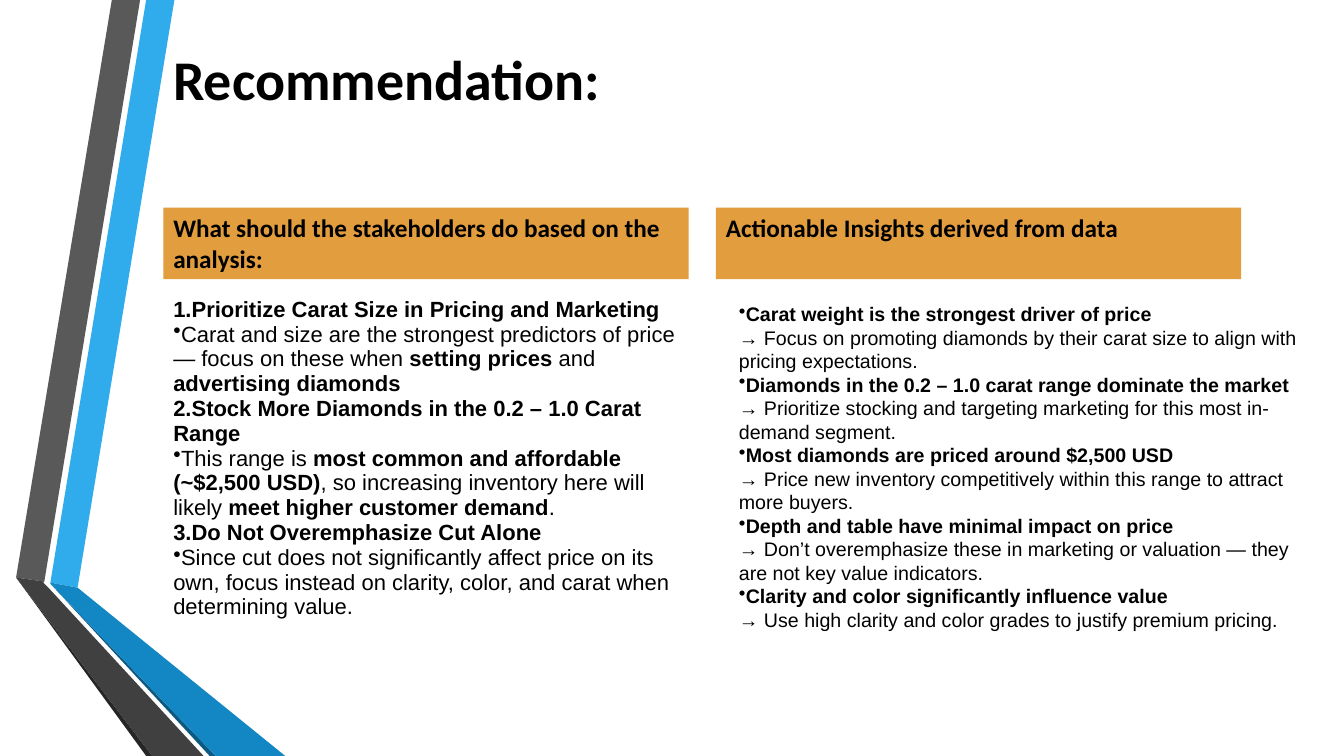
from lxml import etree
from pptx import Presentation
from pptx.dml.color import RGBColor
from pptx.enum.shapes import MSO_SHAPE
from pptx.enum.text import MSO_ANCHOR, PP_ALIGN
from pptx.oxml.ns import qn
from pptx.util import Inches, Pt

RECTANGLE = MSO_SHAPE.RECTANGLE
TOP, MIDDLE = MSO_ANCHOR.TOP, MSO_ANCHOR.MIDDLE
LEFT = PP_ALIGN.LEFT

COLORS = {
    "black": "000000", "orange": "E29D3E",
    "sky": "30ACEC", "blue": "1287C3", "navy": "0C5A82",
    "gray": "595959", "charcoal": "404040", "soot": "262626",
}

RIBBONS = [
    ("sky", [(0.5, 5.78), (0.77, 5.83), (1.73, 0), (1.45, 0)]),
    ("gray", [(1.39, 0), (1.11, 0), (0.16, 5.73), (0.44, 5.77)]),
    ("soot", [(0.16, 5.73), (1.45, 7.5), (1.51, 7.5)]),
    ("navy", [(0.5, 5.79), (2.08, 7.5), (2.14, 7.5)]),
    ("blue", [(0.5, 5.79), (2.14, 7.5), (2.83, 7.5), (0.77, 5.83), (0.5, 5.78)]),
    ("charcoal", [(2.02, 7.5), (0.48, 5.83), (0.43, 5.78), (0.44, 5.77),
                  (0.16, 5.73), (1.51, 7.5)]),
]

HEADINGS = [
    "What should the stakeholders do based on the analysis:",
    "Actionable Insights derived from data",
]

ACTIONS = [
    ("*1.Prioritize Carat Size in Pricing and Marketing*", False),
    ("Carat and size are the strongest predictors of price — focus on these when "
     "*setting prices* and *advertising diamonds*", True),
    ("*2.Stock More Diamonds in the 0.2 – 1.0 Carat Range*", False),
    ("This range is *most common and affordable (~$2,500 USD)*, so increasing "
     "inventory here will likely *meet higher customer demand*.", True),
    ("*3.Do Not Overemphasize Cut Alone*", False),
    ("Since cut does not significantly affect price on its own, focus instead on "
     "clarity, color, and carat when determining value.", True),
]

INSIGHTS = [
    ("Carat weight is the strongest driver of price",
     "Focus on promoting diamonds by their carat size to align with pricing expectations."),
    ("Diamonds in the 0.2 – 1.0 carat range dominate the market",
     "Prioritize stocking and targeting marketing for this most in-demand segment."),
    ("Most diamonds are priced around $2,500 USD",
     "Price new inventory competitively within this range to attract more buyers."),
    ("Depth and table have minimal impact on price",
     "Don’t overemphasize these in marketing or valuation — they are not key value indicators."),
    ("Clarity and color significantly influence value",
     "Use high clarity and color grades to justify premium pricing."),
]


class RecommendationPage:
    """Holds the slide and its style, and draws each kind of element."""

    def __init__(self, deck):
        self.page = deck.slides.add_slide(deck.slide_layouts[6])
        self.title = {"name": "Calibri", "size": Pt(40)}
        self.heading = {"name": "Calibri", "size": Pt(18)}
        self.actions = {"name": "Arial", "size": Pt(15.7)}
        self.insights = {"name": "Arial", "size": Pt(14)}

    def paint(self, shape, color):
        shape.shadow.inherit = False
        shape.fill.solid()
        shape.fill.fore_color.rgb = RGBColor.from_string(COLORS[color])
        shape.line.fill.background()

    def ribbon(self, color, points):
        corners = [(Inches(x), Inches(y)) for x, y in points]
        builder = self.page.shapes.build_freeform(*corners[0])
        builder.add_line_segments(corners[1:], close=True)
        self.paint(builder.convert_to_shape(), color)

    def paragraphs(self, box, items, style, anchor, spacing=1.0):
        frame = box.text_frame
        frame.word_wrap = True
        frame.vertical_anchor = anchor
        for index, (text, bulleted) in enumerate(items):
            para = frame.add_paragraph() if index else frame.paragraphs[0]
            para.alignment = LEFT
            para.line_spacing = spacing
            if bulleted:
                bullet = etree.SubElement(para._p.get_or_add_pPr(), qn("a:buChar"))
                bullet.set("char", "•")
            for order, words in enumerate(text.split("*")):
                for row, line in enumerate(words.split("\n")):
                    if row:
                        para.add_line_break()
                    if line:
                        self.span(para, line, style, order % 2 == 1)

    def span(self, para, text, style, bold):
        span = para.add_run()
        span.text = text
        for name, value in {**style, "bold": bold}.items():
            setattr(span.font, name, value)
        span.font.color.rgb = RGBColor.from_string(COLORS["black"])

    def text(self, area, items, style, anchor=MIDDLE, spacing=1.0):
        box = self.page.shapes.add_textbox(*map(Inches, area))
        self.paragraphs(box, items, style, anchor, spacing)
        return box

    def banner(self, area, text):
        box = self.page.shapes.add_shape(RECTANGLE, *map(Inches, area))
        self.paint(box, "orange")
        self.paragraphs(box, [(f"*{text}*", False)], self.heading, TOP)


def main():
    deck = Presentation()
    deck.slide_width, deck.slide_height = Inches(13.33), Inches(7.5)
    page = RecommendationPage(deck)
    for color, points in RIBBONS:
        page.ribbon(color, points)
    page.text((1.62, 0, 10.96, 1.56), [("*Recommendation:*", False)], page.title)
    actions = page.text((1.62, 2.92, 5.35, 3.42), ACTIONS, page.actions, TOP, 0.94)
    actions.text_frame.margin_top = Inches(0.03)
    for column, heading in enumerate(HEADINGS):
        page.banner((1.62 + 5.48 * column, 2.06, 5.21, 0.71), heading)
    insights = [(f"*{finding}\n*→ {advice}", True) for finding, advice in INSIGHTS]
    page.text((7.23, 2.93, 5.94, 3.4), insights, page.insights)
    deck.save("out.pptx")


if __name__ == "__main__":
    main()
